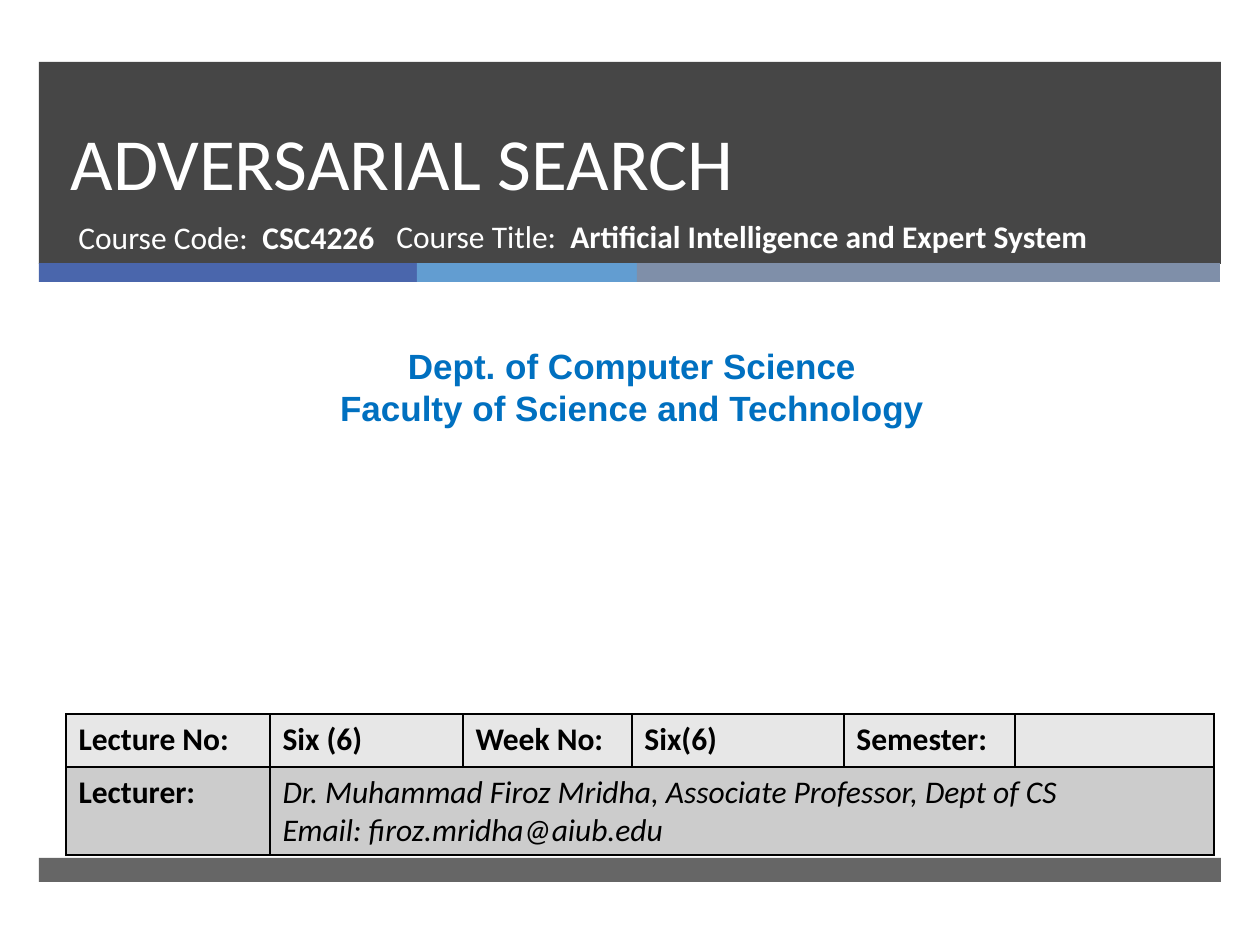
from dataclasses import dataclass
from itertools import accumulate

from lxml.etree import SubElement
from pptx import Presentation
from pptx.dml.color import RGBColor as RGB
from pptx.enum.shapes import MSO_SHAPE as Shape
from pptx.enum.text import MSO_ANCHOR as Anchor, MSO_AUTO_SIZE as AutoSize, PP_ALIGN as Align
from pptx.oxml.ns import qn
from pptx.util import Pt

EMU_PER_PX = 914400 / 126


@dataclass(frozen=True)
class Theme:
    body_font: str = "Calibri"
    dept_font: str = "Arial"
    title_size: int = 42
    body_size: int = 18
    dept_size: int = 20
    dark: str = "262626"
    stripes: tuple = ("4A66AC", "629DD1", "7F8FA9")
    white: str = "FFFFFF"
    black: str = "000000"
    dept: str = "0070C0"
    rows: tuple = ("E7E7E7", "CCCCCC")


THEME = Theme()


def px(length):
    return round(length * EMU_PER_PX)


def place(*box):
    return [px(length) for length in box]


def style(paragraph, size, color, name=THEME.body_font, bold=False, italic=False):
    font = paragraph.font
    font.name, font.size, font.bold, font.italic = name, Pt(size), bold, italic
    font.color.rgb = RGB.from_string(color)


def add_bar(slide, box, color, opacity=100):
    bar = slide.shapes.add_shape(Shape.RECTANGLE, *place(*box))
    bar.shadow.inherit = False
    bar.line.fill.background()
    bar.fill.solid()
    bar.fill.fore_color.rgb = RGB.from_string(color)
    if opacity < 100:
        tint = bar._element.spPr.find(qn("a:solidFill"))[0]
        SubElement(tint, qn("a:alpha"), val=str(opacity * 1000))


def add_course_field(slide, box, label, value, value_offset):
    """Place a label and its bold value, which starts at a tab stop."""
    frame = slide.shapes.add_textbox(*place(*box)).text_frame
    frame.word_wrap = True
    paragraph = frame.paragraphs[0]
    tabs = SubElement(paragraph._p.get_or_add_pPr(), qn("a:tabLst"))
    SubElement(tabs, qn("a:tab"), pos=str(px(value_offset)), algn="l")
    style(paragraph, THEME.body_size, THEME.white)
    paragraph.add_run().text = f"{label}\t"
    course = paragraph.add_run()
    course.text = value
    course.font.bold = True


def add_header(slide, x, y, width, height):
    add_bar(slide, (x, y, width, height), THEME.dark, 85)
    stripe_widths = (378, 220, 583)
    for offset, stripe, color in zip(accumulate(stripe_widths, initial=0), stripe_widths, THEME.stripes):
        add_bar(slide, (x + offset, y + height - 1, stripe, 19), color)

    title = slide.shapes.title
    slide.shapes._spTree.append(title._element)  # in front of the band
    title.left, title.top, title.width, title.height = place(x + 19, y, 1076, 150)
    frame = title.text_frame
    frame.text = "ADVERSARIAL SEARCH"
    frame.vertical_anchor = Anchor.BOTTOM
    frame.auto_size = AutoSize.NONE
    heading = frame.paragraphs[0]
    heading.alignment = Align.LEFT
    heading.line_spacing = Pt(46)
    style(heading, THEME.title_size, THEME.white)

    add_course_field(slide, (x + 27, y + 150, 384, 67), "Course Code:", "CSC4226", 184)
    add_course_field(slide, (x + 345, y + 149, 721, 67), "Course Title:",
                     "Artificial Intelligence and Expert System", 174)


def add_department(slide, *box):
    frame = slide.shapes.add_textbox(*place(*box)).text_frame
    frame.word_wrap = True
    frame.text = "Dept. of Computer Science\nFaculty of Science and Technology"
    for paragraph in frame.paragraphs:
        paragraph.alignment = Align.CENTER
        paragraph.line_spacing = Pt(24)
        style(paragraph, THEME.dept_size, THEME.dept, THEME.dept_font, bold=True)


def add_borders(cell):
    properties = cell._tc.get_or_add_tcPr()
    for index, side in enumerate(("lnL", "lnR", "lnT", "lnB")):
        line = properties.makeelement(qn(f"a:{side}"), {"w": str(Pt(1))})
        SubElement(SubElement(line, qn("a:solidFill")), qn("a:srgbClr"), val=THEME.black)
        properties.insert(index, line)


def add_lecture_table(slide, x, y):
    column_widths = (204, 193, 169, 212, 171, 199)
    row_heights = (53, 88)
    content = (
        ("Lecture No:", "Six (6)", "Week No:", "Six(6)", "Semester:", ""),
        ("Lecturer:", "Dr. Muhammad Firoz Mridha, Associate Professor, Dept of CS\n"
                      "Email: firoz.mridha@aiub.edu"),
    )
    box = place(x, y, sum(column_widths), sum(row_heights))
    table = slide.shapes.add_table(len(row_heights), len(column_widths), *box).table
    table.first_row = table.horz_banding = False
    for column, width in zip(table.columns, column_widths):
        column.width = px(width)
    lecturer = table.cell(1, 1)
    lecturer.merge(table.cell(1, 5))
    for row, height, texts, fill in zip(table.rows, row_heights, content, THEME.rows):
        row.height = px(height)
        for cell in row.cells:
            cell.fill.solid()
            cell.fill.fore_color.rgb = RGB.from_string(fill)
            add_borders(cell)
        for cell, text in zip(row.cells, texts):
            cell.text = text
            for paragraph in cell.text_frame.paragraphs:
                style(paragraph, THEME.body_size, THEME.black, bold=True)
    for paragraph in lecturer.text_frame.paragraphs:
        style(paragraph, THEME.body_size, THEME.black, italic=True)


def main():
    deck = Presentation()
    deck.slide_width, deck.slide_height = place(1260, 945)
    slide = deck.slides.add_slide(deck.slide_layouts[5])
    add_header(slide, 39, 62, 1182, 202)
    add_bar(slide, (39, 858, 1182, 24), THEME.dark, 70)
    add_department(slide, 10, 338, 1244, 97)
    add_lecture_table(slide, 66, 714)
    deck.save("out.pptx")


if __name__ == "__main__":
    main()
